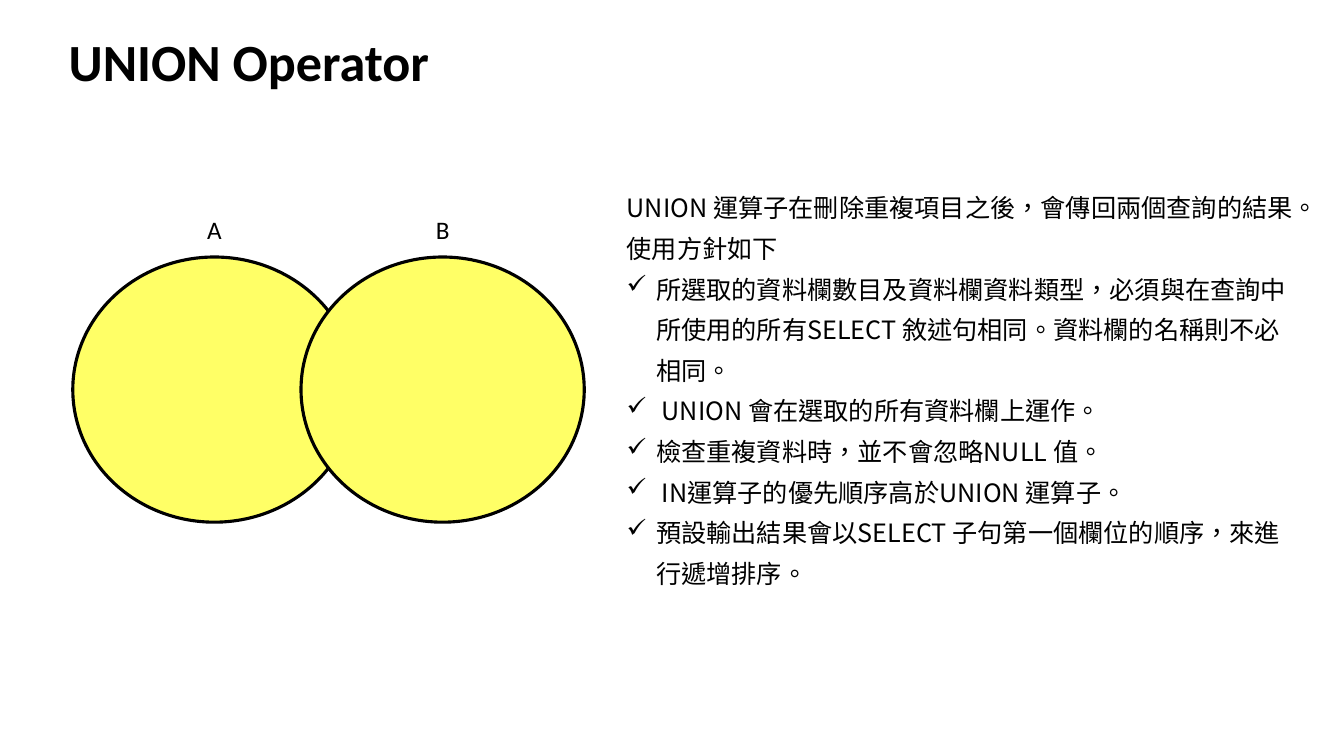
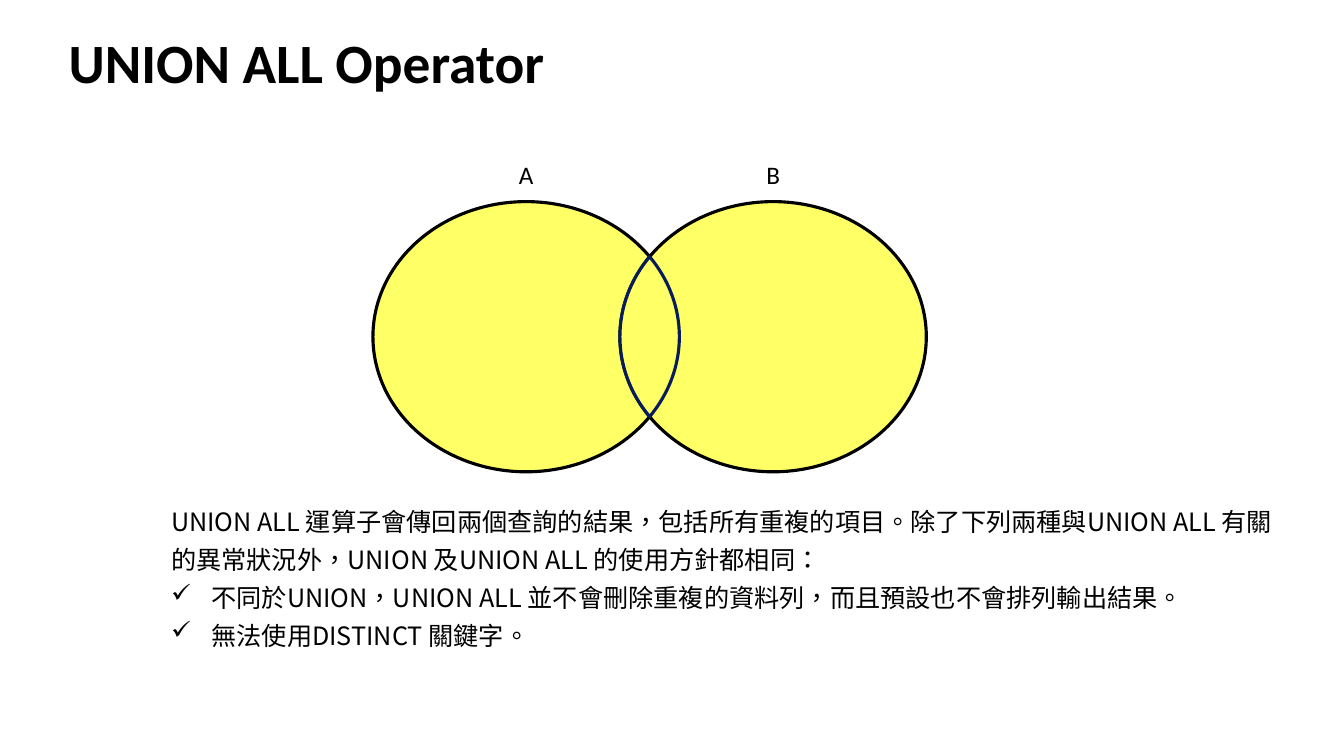
import math

import lxml.etree
import pptx
import pptx.dml.color
import pptx.enum.lang
import pptx.enum.shapes
import pptx.enum.text
import pptx.oxml.ns
import pptx.util

Pt = pptx.util.Pt
qn = pptx.oxml.ns.qn
ALIGN = pptx.enum.text.PP_ALIGN
ANCHOR = pptx.enum.text.MSO_ANCHOR


class Theme:
    ink = pptx.dml.color.RGBColor.from_string("000000")
    circle = pptx.dml.color.RGBColor.from_string("FFFF66")
    overlap_line = pptx.dml.color.RGBColor.from_string("081D58")
    latin_font = "Calibri"
    body_font = "Noto Sans CJK SC"
    text_size = 18
    outline = 2.25
    bullet = "✓"
    title_box = (42, 21.6, 877, 44)
    label_rise = 34
    label_height = 24


def add_text(s, paragraphs, box, font=Theme.latin_font, size=Theme.text_size, bold=False,
             align=ALIGN.LEFT, anchor=ANCHOR.TOP, leading=None, indent=0):
    tf = s.shapes.add_textbox(*map(Pt, box)).text_frame
    tf.word_wrap = True
    tf.vertical_anchor = anchor
    for i, text in enumerate(paragraphs):
        p = tf.paragraphs[0] if i == 0 else tf.add_paragraph()
        p.alignment = align
        if leading:
            p.line_spacing = Pt(leading)
        if indent and i > 0:
            pPr = p._p.get_or_add_pPr()
            pPr.set("marL", str(Pt(indent)))
            pPr.set("indent", str(Pt(-indent)))
            lxml.etree.SubElement(pPr, qn("a:buChar"), char=Theme.bullet)
        r = p.add_run()
        r.text = text
        r.font.size = Pt(size)
        r.font.bold = bold
        r.font.color.rgb = Theme.ink
        r.font.name = font
        if font == Theme.body_font:
            r.font.language_id = pptx.enum.lang.MSO_LANGUAGE_ID.TRADITIONAL_CHINESE
            lxml.etree.SubElement(r._r.get_or_add_rPr(), qn("a:ea"), typeface=font)


def paint(sp, line_color):
    sp.shadow.inherit = False
    sp.fill.solid()
    sp.fill.fore_color.rgb = Theme.circle
    sp.line.color.rgb = line_color
    sp.line.width = Pt(Theme.outline)


slides = [
    dict(
        title="UNION Operator", title_size=37.3,
        circles=(52, 183.6, 202.3, 189.4), step=163, overlap=False,
        body_box=(440.6, 126.7, 491, 334), leading=29, indent=21,
        body=[
            "UNION 運算子在刪除重複項目之後，會傳回兩個查詢的結果。使用方針如下",
            "所選取的資料欄數目及資料欄資料類型，必須與在查詢中所使用的所有SELECT 敘述句相同。資料欄的名稱則不必相同。",
            " UNION 會在選取的所有資料欄上運作。",
            "檢查重複資料時，並不會忽略NULL 值。",
            " IN運算子的優先順序高於UNION 運算子。",
            "預設輸出結果會以SELECT 子句第一個欄位的順序，來進行遞增排序。",
        ],
    ),
    dict(
        title="UNION ALL Operator", title_size=39.6,
        circles=(266.4, 144, 218.9, 193), step=176.4, overlap=True,
        body_box=(115.2, 352.8, 809.3, 147), leading=27, indent=28.8,
        body=[
            "UNION ALL 運算子會傳回兩個查詢的結果，包括所有重複的項目。除了下列兩種與UNION ALL 有關的異常狀況外，UNION 及UNION ALL 的使用方針都相同：",
            "不同於UNION，UNION ALL 並不會刪除重複的資料列，而且預設也不會排列輸出結果。",
            "無法使用DISTINCT 關鍵字。",
        ],
    ),
]

prs = pptx.Presentation()
prs.slide_width = Pt(960)
prs.slide_height = Pt(540)

for content in slides:
    s = prs.slides.add_slide(prs.slide_layouts[6])
    add_text(s, [content["title"]], Theme.title_box, size=content["title_size"],
             bold=True, anchor=ANCHOR.MIDDLE)

    left, top, width, height = content["circles"]
    for i, name in enumerate("AB"):
        x = left + i * content["step"]
        sp = s.shapes.add_shape(pptx.enum.shapes.MSO_SHAPE.OVAL,
                                Pt(x), Pt(top), Pt(width), Pt(height))
        paint(sp, Theme.ink)
        add_text(s, [name], (x, top - Theme.label_rise, width, Theme.label_height),
                 align=ALIGN.CENTER)

    add_text(s, content["body"], content["body_box"], font=Theme.body_font,
             leading=content["leading"], indent=content["indent"])

    if content["overlap"]:
        center_x = left + (width + content["step"]) / 2
        center_y = top + height / 2
        limit = math.acos(content["step"] / width)
        steps = 32
        arc = []
        for i in range(steps + 1):
            t = limit * (2 * i / steps - 1)
            arc.append((width / 2 * (math.cos(t) - math.cos(limit)), height / 2 * math.sin(t)))
        points = [(Pt(center_x + side * dx), Pt(center_y + side * dy))
                  for side in (1, -1) for dx, dy in arc]
        fb = s.shapes.build_freeform(*points[0])
        fb.add_line_segments(points[1:], close=True)
        paint(fb.convert_to_shape(), Theme.overlap_line)

prs.save("out.pptx")
